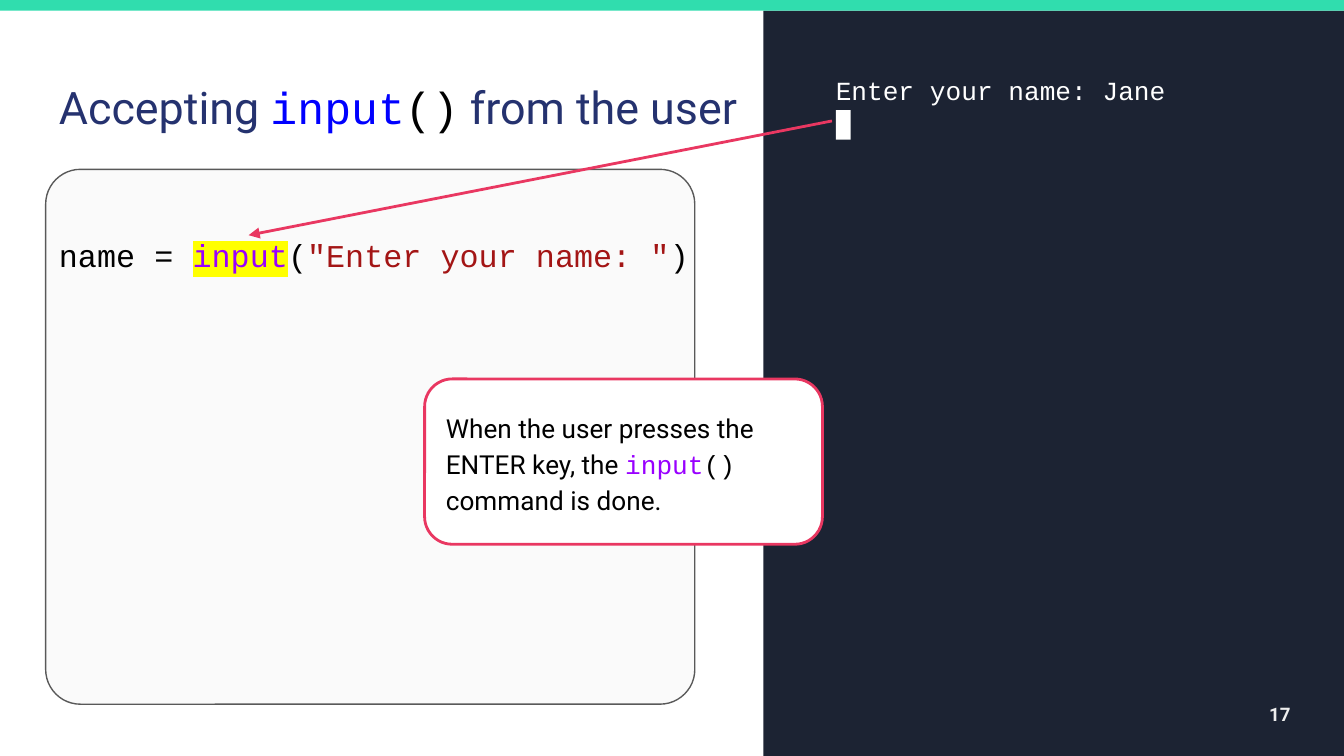
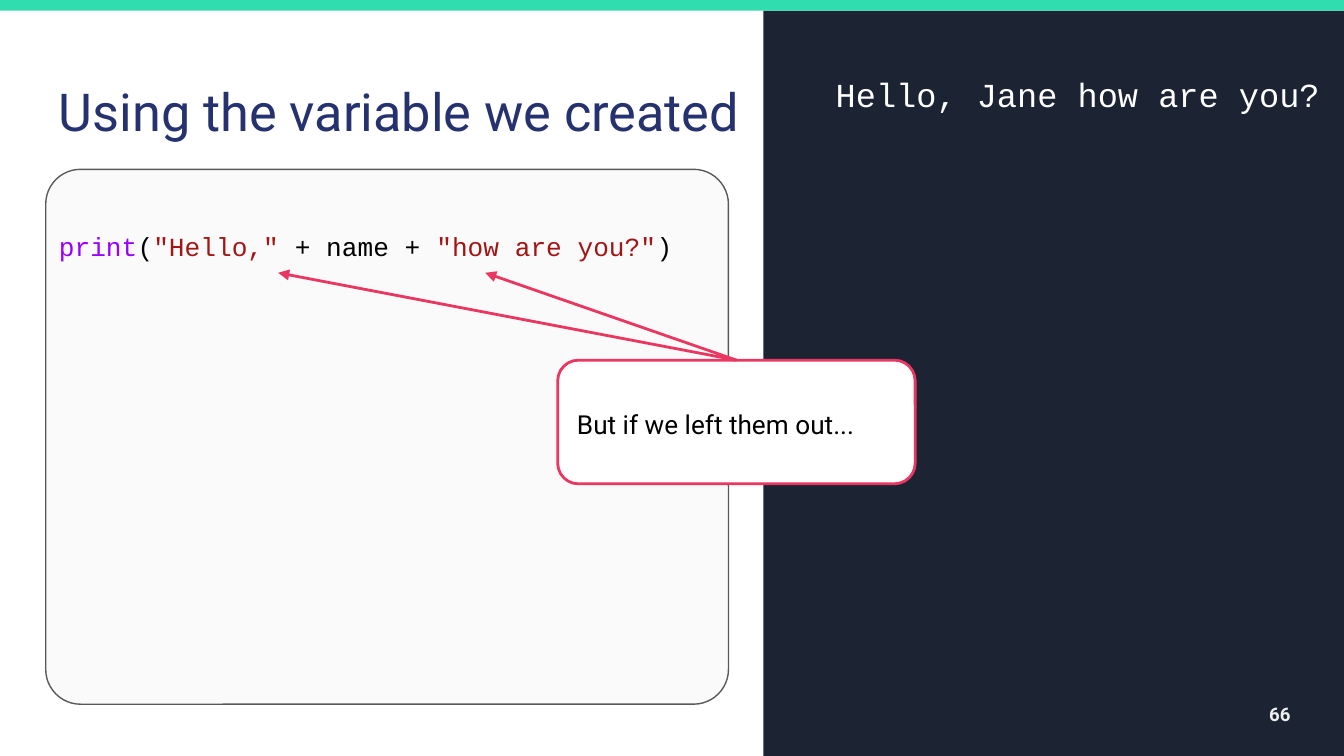
from dataclasses import dataclass

from lxml import etree
from pptx import Presentation
from pptx.dml.color import RGBColor
from pptx.enum import shapes, text
from pptx.oxml import ns
from pptx.util import Inches, Pt


@dataclass(frozen=True)
class Theme:
    band: str = "30DDAE"
    panel: str = "1C2333"
    title: str = "25326F"
    title_code: str = "0000FF"
    number: str = "EEEEEE"
    editor: str = "FAFAFA"
    editor_line: str = "595959"
    accent: str = "E93761"
    function: str = "9900FF"
    string: str = "A31515"
    marker: str = "FFFF00"
    white: str = "FFFFFF"
    black: str = "000000"
    sans: str = "Roboto"
    mono: str = "Courier New"
    number_size: int = 10
    callout_size: int = 14


THEME = Theme()

# Style of a run: font, colour, highlight
STYLES = {
    "title": (THEME.sans, THEME.title, None),
    "title code": (THEME.mono, THEME.title_code, None),
    "number": (THEME.sans, THEME.number, None),
    "output": (THEME.mono, THEME.white, None),
    "code": (THEME.mono, THEME.black, None),
    "function": (THEME.mono, THEME.function, None),
    "marked": (THEME.mono, THEME.function, THEME.marker),
    "string": (THEME.mono, THEME.string, None),
    "body": (THEME.sans, THEME.black, None),
}

LESSONS = [
    {
        "number": "17",
        "title": [("Accepting ", "title"), ("input", "title code"),
                  ("()", "code"), (" from the user", "title")],
        "title_size": 24,
        "output": "Enter your name: Jane",
        "output_size": 14,
        "output_width": 3.58,
        "cursor": (6.22, 0.82, 0.11, 0.22),
        "code": [("name = ", "code"), ("input", "marked"), ("(", "code"),
                 ('"Enter your name: "', "string"), (")", "code")],
        "code_size": 17,
        "code_width": 4.99,
        "code_inset": 0.48,
        "editor_width": 4.83,
        "callout": [("When the user presses the ENTER key, the ", "body"),
                    ("input", "function"), ("() ", "code"),
                    ("command is done.", "body")],
        "callout_at": (3.16, 2.82, 2.96, 1.23),
        "arrow_from": (6.19, 0.9),
        "arrow_tips": [(1.85, 1.75)],
    },
    {
        "number": "66",
        "title": [("Using the variable we created", "title")],
        "title_size": 28,
        "output": "Hello, Jane how are you?",
        "output_size": 18,
        "output_width": 3.9,
        "cursor": None,
        "code": [("print", "function"), ("(", "code"),
                 ('"Hello," ', "string"), ("+ name + ", "code"),
                 ('"how are you?"', "string"), (")", "code")],
        "code_size": 14,
        "code_width": 5.08,
        "code_inset": 0.51,
        "editor_width": 5.08,
        "callout": [("But if we left them out...", "body")],
        "callout_at": (4.15, 2.68, 2.66, 0.92),
        "arrow_from": (5.48, 2.68),
        "arrow_tips": [(2.07, 2.03), (3.61, 2.03)],
    },
]

WIDTH = 10
HEIGHT = WIDTH * 9 / 16
BAND_HEIGHT = 0.08
PANEL_LEFT = 5.68
LEFT = 0.34
INSET = 0.1


def rgb(value):
    return RGBColor.from_string(value)


def add_box(page, at, fill, line=None, weight=0.75, corner=None):
    """Add a rectangle, rounded when a corner ratio is given."""
    preset = shapes.MSO_SHAPE.RECTANGLE
    if corner:
        preset = shapes.MSO_SHAPE.ROUNDED_RECTANGLE
    box = page.shapes.add_shape(preset, *map(Inches, at))
    if corner:
        box.adjustments[0] = corner
    box.shadow.inherit = False
    box.fill.solid()
    box.fill.fore_color.rgb = rgb(fill)
    if line:
        box.line.color.rgb = rgb(line)
        box.line.width = Pt(weight)
    else:
        box.line.fill.background()
    return box


def highlight(span, colour):
    properties = span.font.fill._xPr
    mark = etree.Element(ns.qn("a:highlight"))
    etree.SubElement(mark, ns.qn("a:srgbClr"), val=colour)
    properties.find(ns.qn("a:solidFill")).addnext(mark)


def write(box, runs, size, spacing=None, align=text.PP_ALIGN.LEFT,
          anchor=text.MSO_ANCHOR.TOP, top_inset=INSET):
    """Fill a box with one paragraph of styled runs and return it."""
    frame = box.text_frame
    frame.word_wrap = True
    frame.vertical_anchor = anchor
    frame.margin_left = frame.margin_right = Inches(INSET)
    frame.margin_top, frame.margin_bottom = Inches(top_inset), Inches(INSET)
    para = frame.paragraphs[0]
    para.alignment = align
    if spacing:
        para.line_spacing = spacing
    para.font.size = Pt(size)
    for words, style in runs:
        font, colour, mark = STYLES[style]
        span = para.add_run()
        span.text = words
        span.font.name = font
        span.font.color.rgb = rgb(colour)
        if mark:
            highlight(span, mark)
    return para


def add_text(page, at, runs, size, **layout):
    return write(page.shapes.add_textbox(*map(Inches, at)), runs, size, **layout)


def add_arrow(page, start, tip):
    arrow = page.shapes.add_connector(
        shapes.MSO_CONNECTOR.STRAIGHT, *map(Inches, start + tip))
    arrow.line.color.rgb = rgb(THEME.accent)
    arrow.line.width = Pt(1.5)
    etree.SubElement(arrow.line._get_or_add_ln(), ns.qn("a:tailEnd"), type="triangle")
    etree.SubElement(arrow._element.spPr, ns.qn("a:effectLst"))


def add_frame(page, lesson):
    """Draw the band, terminal panel, page number and title."""
    add_box(page, (PANEL_LEFT, BAND_HEIGHT, WIDTH - PANEL_LEFT,
                   HEIGHT - BAND_HEIGHT), THEME.panel)
    add_box(page, (0, 0, WIDTH, BAND_HEIGHT), THEME.band)
    number = add_text(page, (9.1, 5.1, 0.6, 0.43), [(lesson["number"], "number")],
                      THEME.number_size, align=text.PP_ALIGN.RIGHT,
                      anchor=text.MSO_ANCHOR.MIDDLE)
    number.font.bold = True
    add_text(page, (LEFT, 0.49, PANEL_LEFT - LEFT, 0.63),
             lesson["title"], lesson["title_size"])


def add_lesson(deck, lesson):
    page = deck.slides.add_slide(deck.slide_layouts[6])
    add_frame(page, lesson)

    add_text(page, (6.12, 0.45, lesson["output_width"], 3.98),
             [(lesson["output"], "output")], lesson["output_size"])
    if lesson["cursor"]:
        add_box(page, lesson["cursor"], THEME.white)

    add_box(page, (LEFT, 1.26, lesson["editor_width"], 3.98),
            THEME.editor, THEME.editor_line, corner=0.065)
    add_text(page, (LEFT, 1.27, lesson["code_width"], 3.96), lesson["code"],
             lesson["code_size"], spacing=1.36, top_inset=lesson["code_inset"])

    callout = add_box(page, lesson["callout_at"], THEME.white,
                      THEME.accent, weight=1.5, corner=0.167)
    write(callout, lesson["callout"], THEME.callout_size, spacing=1.15,
          anchor=text.MSO_ANCHOR.MIDDLE)
    for tip in lesson["arrow_tips"]:
        add_arrow(page, lesson["arrow_from"], tip)


def main():
    deck = Presentation()
    deck.slide_width, deck.slide_height = Inches(WIDTH), Inches(HEIGHT)
    for lesson in LESSONS:
        add_lesson(deck, lesson)
    deck.save("out.pptx")


if __name__ == "__main__":
    main()
